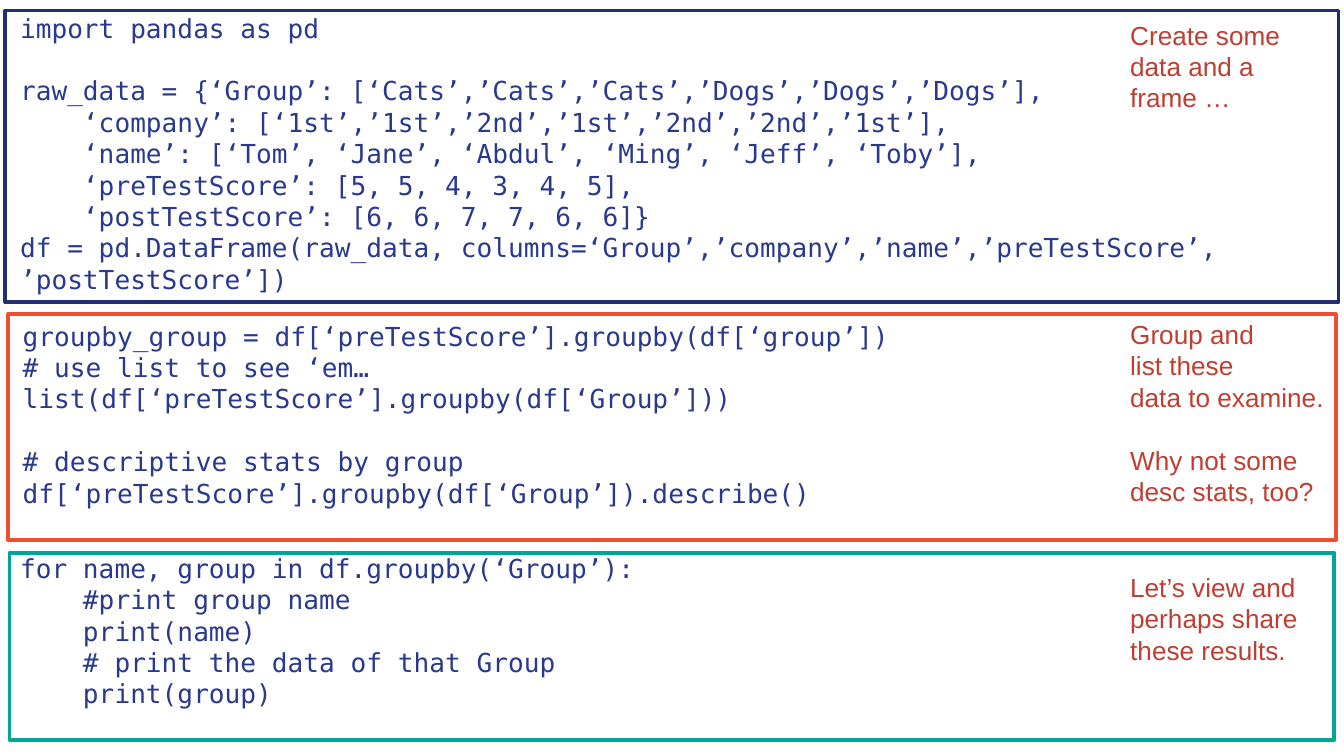
from pptx import Presentation
from pptx.dml.color import RGBColor
from pptx.enum.shapes import MSO_SHAPE
from pptx.enum.text import MSO_ANCHOR
from pptx.util import Cm, Pt

RECT = MSO_SHAPE.RECTANGLE
TOP = MSO_ANCHOR.TOP
BLANK_LAYOUT = 6
COLORS = {
    "white": "FFFFFF",
    "navy": "212D74",
    "orange": "ED4E35",
    "teal": "00A598",
    "code": "2A3990",
    "note": "BE3E32",
}
CODE_FONT = "DejaVu Sans Mono"
NOTE_FONT = "Arial"
FONT_SIZE = Pt(14)
LINE_PITCH = Pt(16.8)
NOTE_LEFT, NOTE_WIDTH = 21.36, 3.71

CREATE_CODE = [
    """import pandas as pd""",
    """raw_data = {‘Group’: [‘Cats’,’Cats’,’Cats’,’Dogs’,’Dogs’,’Dogs’],
    ‘company’: [‘1st’,’1st’,’2nd’,’1st’,’2nd’,’2nd’,’1st’],
    ‘name’: [‘Tom’, ‘Jane’, ‘Abdul’, ‘Ming’, ‘Jeff’, ‘Toby’],
    ‘preTestScore’: [5, 5, 4, 3, 4, 5],
    ‘postTestScore’: [6, 6, 7, 7, 6, 6]}
df = pd.DataFrame(raw_data, columns=‘Group’,’company’,’name’,’preTestScore’, ’postTestScore’])""",
]
GROUP_CODE = [
    """groupby_group = df[‘preTestScore’].groupby(df[‘group’])
# use list to see ‘em…
list(df[‘preTestScore’].groupby(df[‘Group’]))""",
    """# descriptive stats by group
df[‘preTestScore’].groupby(df[‘Group’]).describe()""",
]
VIEW_CODE = [
    """for name, group in df.groupby(‘Group’):
    #print group name
    print(name)
    # print the data of that Group
    print(group)""",
]
CREATE_NOTE = ["Create some data and a frame …"]
GROUP_NOTE = ["Group and\nlist these\ndata to examine.", "Why not some desc stats, too?"]
VIEW_NOTE = ["Let’s view and\nperhaps share\nthese results."]

PANELS = [
    ("teal", (0.18, 10.46, 25.04, 3.53)),
    ("orange", (0.15, 5.94, 25.1, 4.27)),
    ("navy", (0.1, 0.2, 25.2, 5.51)),
]
CODE_BLOCKS = [
    (CREATE_CODE, (0.38, 0.23, 24.61, 6.6)),
    (GROUP_CODE, (0.43, 6.05, 16.64, 4.19)),
    (VIEW_CODE, (0.38, 10.44, 11.89, 3.61)),
]
NOTES = [
    (CREATE_NOTE, 0.36, 1.68),
    (GROUP_NOTE, 6.02, 3.38),
    (VIEW_NOTE, 10.8, 1.68),
]


def rgb(name):
    return RGBColor.from_string(COLORS[name])


def add_panel(slide, color, box):
    sp = slide.shapes.add_shape(RECT, *map(Cm, box))
    sp.shadow.inherit = False
    sp.fill.solid()
    sp.fill.fore_color.rgb = rgb("white")
    sp.line.color.rgb = rgb(color)
    sp.line.width = Pt(2)


def add_text(slide, blocks, box, font, color, wrap=True):
    tf = slide.shapes.add_textbox(*map(Cm, box)).text_frame
    tf.word_wrap = wrap
    tf.vertical_anchor = TOP
    tf.margin_left = tf.margin_right = tf.margin_top = tf.margin_bottom = 0
    for b, block in enumerate(blocks):
        for i, line in enumerate(block.split("\n")):
            p = tf.paragraphs[0] if b == i == 0 else tf.add_paragraph()
            p.line_spacing = LINE_PITCH
            if b > 0 and i == 0:
                p.space_before = LINE_PITCH
            r = p.add_run()
            r.text = line
            r.font.name = font
            r.font.size = FONT_SIZE
            r.font.color.rgb = rgb(color)


def main():
    prs = Presentation()
    prs.slide_width, prs.slide_height = Cm(25.4), Cm(14.29)
    slide = prs.slides.add_slide(prs.slide_layouts[BLANK_LAYOUT])
    for color, box in PANELS:
        add_panel(slide, color, box)
    for blocks, box in CODE_BLOCKS:
        add_text(slide, blocks, box, CODE_FONT, "code", wrap=blocks is CREATE_CODE)
    for blocks, top, height in NOTES:
        add_text(slide, blocks, (NOTE_LEFT, top, NOTE_WIDTH, height), NOTE_FONT, "note")
    prs.save("out.pptx")


if __name__ == "__main__":
    main()
